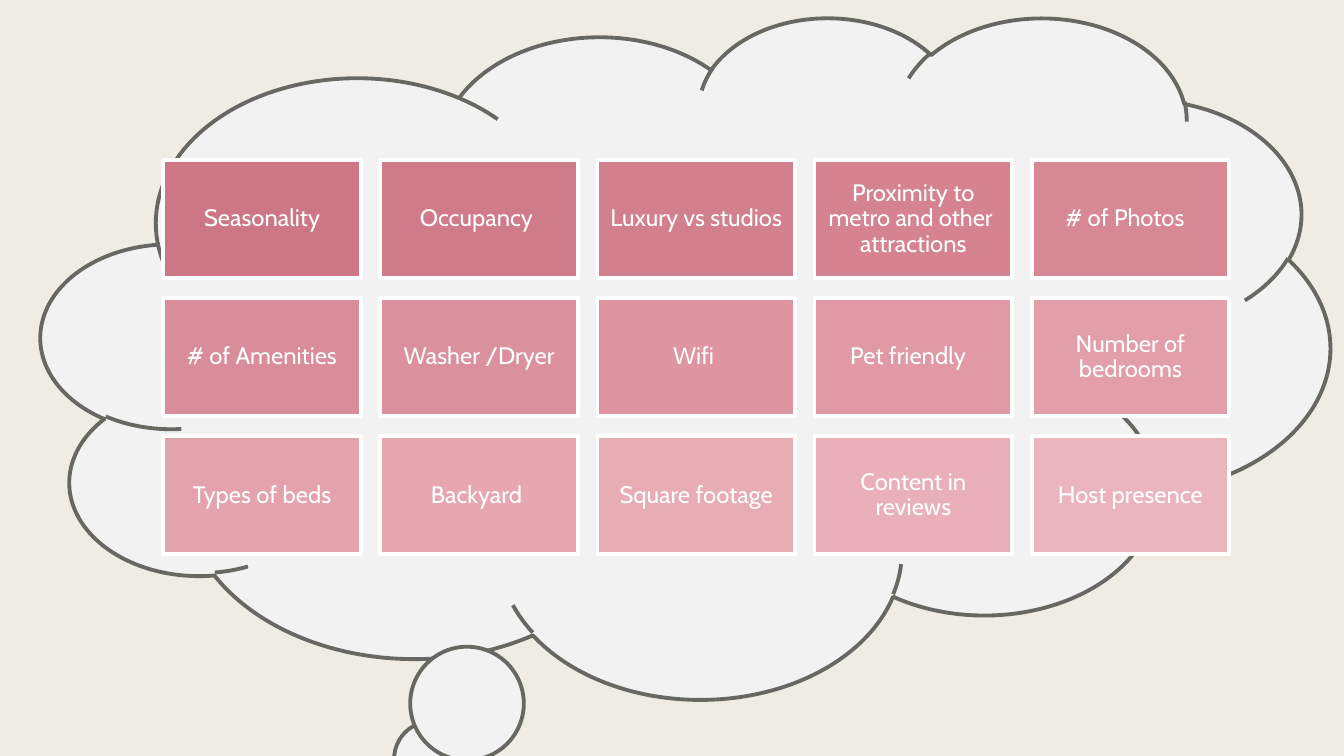
from pptx import Presentation
from pptx.dml.color import RGBColor
from pptx.enum.shapes import MSO_SHAPE
from pptx.enum.text import MSO_ANCHOR, PP_ALIGN
from pptx.util import Inches, Pt

# Content: price factors, row by row
FACTORS = [
    ["Seasonality", "Occupancy ", "Luxury vs studios",
     "Proximity to metro and other  attractions", "# of Photos  "],
    ["# of Amenities", "Washer /Dryer", "Wifi ", "Pet friendly  ", "Number of bedrooms"],
    ["Types of beds", "Backyard ", "Square footage", "Content in reviews", "Host presence"],
]
COLOURS = {"background": "EFEDE3", "cloud": "F2F2F2", "outline": "686863", "white": "FFFFFF"}
# Tile fills fade from dark to light rose
TILE_COLOURS = {
    0: ["CD7786", "D07B8A", "D27F8E", "D58391", "D78895"],
    1: ["D98C99", "DB909D", "DE95A1", "E099A5", "E29EA9"],
    2: ["E4A2AD", "E6A7B1", "E8ACB5", "EAB0B9", "EBB5BE"],
}
FONT = "Cabin"
GRID_LEFT, GRID_TOP = 1.62, 1.59
TILE_WIDTH, TILE_HEIGHT = 1.96, 1.17
STEP_X, STEP_Y = 2.153, 1.37
LINE_WIDTH = 2.75


def colour(value):
    return RGBColor.from_string(value)


def add_box(page, kind, left, top, width, height, fill, line):
    box = page.shapes.add_shape(kind, Inches(left), Inches(top), Inches(width), Inches(height))
    box.shadow.inherit = False
    box.fill.solid()
    box.fill.fore_color.rgb = colour(fill)
    box.line.color.rgb = colour(line)
    box.line.width = Pt(LINE_WIDTH)
    return box


def write_label(box, text):
    frame = box.text_frame
    frame.word_wrap = True
    frame.vertical_anchor = MSO_ANCHOR.MIDDLE
    frame.margin_left = frame.margin_right = Inches(0.07)
    frame.margin_top = frame.margin_bottom = Inches(0.07)
    frame.text = text
    para = frame.paragraphs[0]
    para.alignment = PP_ALIGN.CENTER
    para.line_spacing = 0.9
    span = para.runs[0]
    span.font.name = FONT
    span.font.size = Pt(17)
    span.font.color.rgb = colour(COLOURS["white"])


def main():
    deck = Presentation()
    deck.slide_width, deck.slide_height = Inches(13.33), Inches(7.5)
    page = deck.slides.add_slide(deck.slide_layouts[6])
    page.background.fill.solid()
    page.background.fill.fore_color.rgb = colour(COLOURS["background"])

    # Thought cloud
    add_box(page, MSO_SHAPE.CLOUD_CALLOUT, 0.41, 0.16, 12.78, 6.76,
            COLOURS["cloud"], COLOURS["outline"])

    # Grid of factor tiles
    for row, labels in enumerate(FACTORS):
        for column, label in enumerate(labels):
            tile = add_box(page, MSO_SHAPE.RECTANGLE,
                           GRID_LEFT + column * STEP_X, GRID_TOP + row * STEP_Y,
                           TILE_WIDTH, TILE_HEIGHT,
                           TILE_COLOURS[row][column], COLOURS["white"])
            write_label(tile, label)

    deck.save("out.pptx")


if __name__ == "__main__":
    main()
